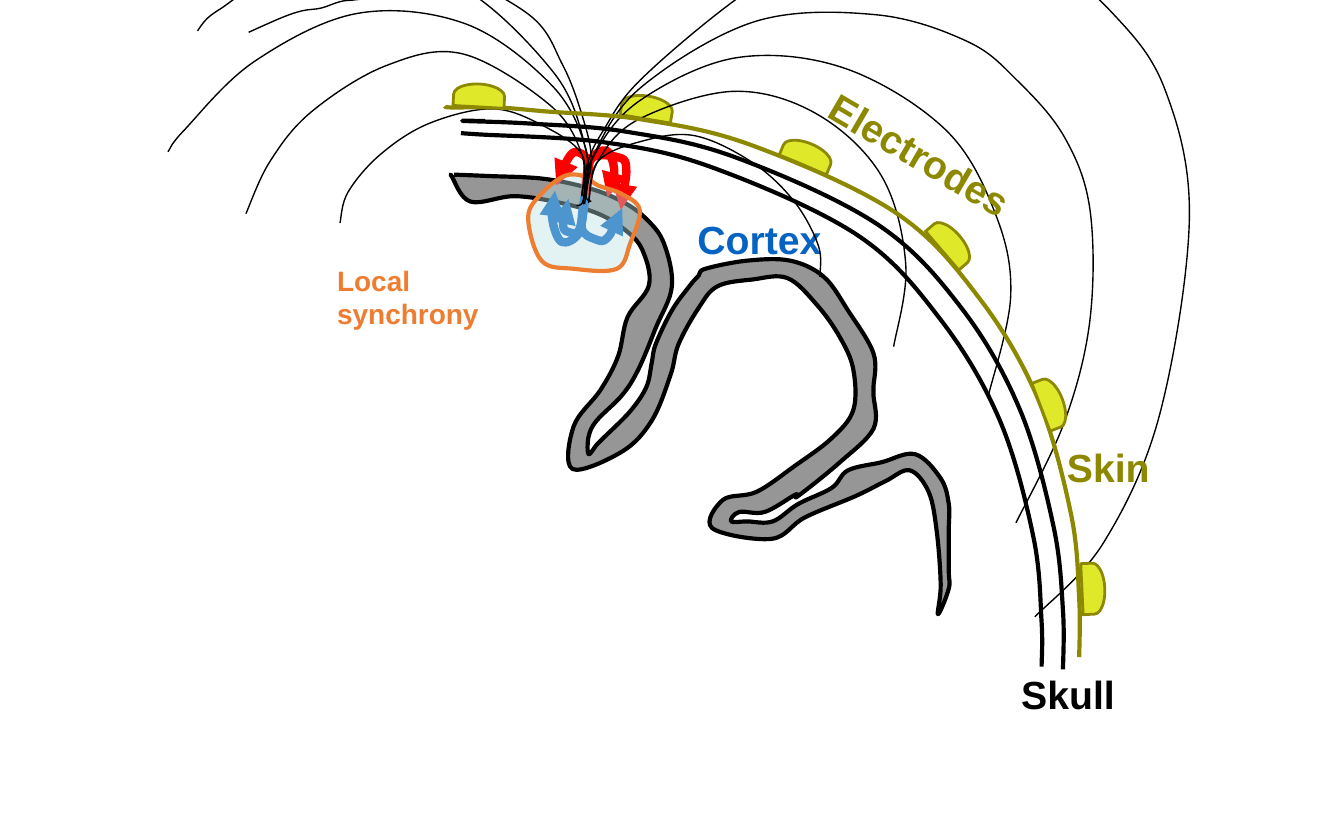
from lxml.etree import SubElement
from pptx import Presentation
from pptx.dml.color import RGBColor
from pptx.enum.shapes import MSO_SHAPE
from pptx.enum.text import MSO_AUTO_SIZE
from pptx.oxml.ns import qn
from pptx.util import Inches, Pt

OLIVE = "8C8900"
BLACK = "000000"
RED = "FF0000"
BLUE = "0563C1"
ORANGE = "ED7D31"

INNER_SKULL = [(3.43, 0.99), (3.56, 1), (4.5, 1.06), (5.31, 1.25), (6.38, 1.75), (7, 2.38),
               (7.44, 3.13), (7.69, 4), (7.75, 4.63), (7.75, 4.96)]
OUTER_SKULL = [(3.61, 0.9), (3.45, 0.9), (3.95, 0.92), (4.66, 0.98), (5.47, 1.17), (6.53, 1.67),
               (7.16, 2.3), (7.59, 3.05), (7.84, 3.92), (7.91, 4.55), (7.91, 4.98)]
SKIN = [(3.31, 0.79), (3.36, 0.8), (3.7, 0.8), (4.07, 0.83), (4.78, 0.89), (5.59, 1.08),
        (6.66, 1.58), (7.28, 2.21), (7.72, 2.96), (7.97, 3.83), (8.03, 4.46), (8.03, 4.89)]
CORTEX = [
    (3.38, 1.3), (3.63, 1.31), (4.04, 1.33), (4.38, 1.4), (4.63, 1.5), (4.81, 1.63), (4.94, 1.81),
    (5, 2.13), (4.88, 2.44), (4.75, 2.75), (4.63, 2.94), (4.44, 3.13), (4.38, 3.25), (4.38, 3.38),
    (4.44, 3.31), (4.5, 3.25), (4.69, 3.06), (4.81, 2.88), (4.85, 2.7), (4.88, 2.56), (5, 2.31),
    (5.13, 2.13), (5.2, 2.05), (5.25, 2), (5.56, 1.94), (5.88, 1.94), (6.13, 2.06), (6.31, 2.31),
    (6.5, 2.63), (6.5, 2.88), (6.5, 2.94), (6.5, 3.19), (6.25, 3.44), (5.94, 3.69), (5.92, 3.68),
    (5.69, 3.81), (5.5, 3.81), (5.44, 3.88), (5.56, 3.88), (5.75, 3.88), (5.94, 3.75),
    (6.19, 3.63), (6.31, 3.5), (6.56, 3.44), (6.81, 3.38), (7, 3.56), (7.06, 3.75), (7.06, 3.94),
    (7.06, 4.25), (7.06, 4.38), (6.98, 4.57), (7, 4.35), (6.97, 3.95), (6.91, 3.66), (6.77, 3.5),
    (6.59, 3.58), (6.37, 3.69), (5.99, 3.85), (5.74, 4.01), (5.3, 3.93), (5.38, 3.72),
    (5.63, 3.66), (5.91, 3.47), (6.19, 3.26), (6.35, 3.05), (6.35, 2.75), (6.25, 2.51),
    (6.08, 2.27), (5.86, 2.07), (5.6, 2.08), (5.34, 2.13), (5.2, 2.29), (5.05, 2.56),
    (4.99, 2.79), (4.85, 3.13), (4.63, 3.36), (4.26, 3.49), (4.27, 3.17), (4.47, 2.9),
    (4.6, 2.65), (4.67, 2.36), (4.83, 2.12), (4.78, 1.86), (4.65, 1.71), (4.45, 1.59),
    (4.17, 1.51), (3.83, 1.46), (3.5, 1.5), (3.36, 1.31), (3.37, 1.32)]
SYNCHRONY_AREA = [(4.2, 1.31), (4.03, 1.44), (3.93, 1.62), (4.03, 1.94), (4.27, 2), (4.59, 2),
                  (4.69, 1.81), (4.76, 1.56), (4.62, 1.44), (4.45, 1.38), (4.34, 1.31)]
CURRENTS = [
    (RED, [(4.36, 1.43), (4.4, 1.18), (4.6, 1.17), (4.66, 1.25), (4.62, 1.56)]),
    (RED, [(4.35, 1.45), (4.39, 1.2), (4.51, 1.12), (4.57, 1.27), (4.52, 1.47)]),
    (RED, [(4.36, 1.45), (4.38, 1.21), (4.28, 1.13), (4.2, 1.23), (4.14, 1.38)]),
    (BLUE, [(4.35, 1.48), (4.31, 1.73), (4.18, 1.8), (4.11, 1.63), (4.13, 1.42)]),
    (BLUE, [(4.36, 1.46), (4.31, 1.71), (4.24, 1.73), (4.19, 1.68), (4.23, 1.48)]),
    (BLUE, [(4.35, 1.46), (4.33, 1.7), (4.43, 1.78), (4.52, 1.77), (4.63, 1.55)])]
FIELD_LINES = [
    [(4.38, 1.51), (4.45, 1.2), (4.78, 1.05), (5.17, 1.01), (5.6, 1.21), (5.91, 1.5),
     (6.09, 1.83), (6.1, 2.06)],
    [(4.38, 1.5), (4.45, 1.2), (4.75, 0.89), (5.46, 0.68), (6.08, 0.85), (6.56, 1.31),
     (6.74, 1.97), (6.65, 2.58)],
    [(4.35, 1.52), (4.42, 1.16), (4.76, 0.75), (5.48, 0.43), (6.29, 0.51), (7.04, 0.97),
     (7.41, 1.6), (7.52, 2.21), (7.35, 2.96)],
    [(4.34, 1.52), (4.41, 1.17), (4.77, 0.65), (5.62, 0.16), (6.52, 0.11), (7.2, 0.31),
     (7.57, 0.6), (7.92, 1.02), (8.11, 1.56), (8.11, 2.38), (7.92, 3.14), (7.56, 3.89)],
    [(4.33, 1.46), (4.33, 1.15), (4.03, 0.93), (3.66, 0.81), (3.19, 0.92), (2.83, 1.15),
     (2.59, 1.43), (2.53, 1.66)],
    [(4.33, 1.46), (4.33, 1.15), (4.09, 0.78), (3.44, 0.4), (2.87, 0.49), (2.32, 0.83),
     (2.01, 1.2), (1.83, 1.59)],
    [(4.35, 1.47), (4.36, 1.11), (4.11, 0.64), (3.47, 0.18), (2.66, 0.1), (1.89, 0.46),
     (1.37, 0.97), (1.25, 1.13)],
    [(4.36, 1.48), (4.36, 1.12), (4.12, 0.54), (3.39, -0.11), (2.71, -0.01), (2.54, 0.01),
     (2.39, 0.06), (2.25, 0.08), (2.1, 0.13), (1.85, 0.24)],
    [(4.4, 1.5), (4.36, 1.45), (4.4, 1.19), (4.35, 0.92), (4.19, 0.49), (3.91, 0.09),
     (3.11, -0.27), (2.32, -0.2), (1.88, -0.08), (1.65, 0.06), (1.54, 0.14), (1.47, 0.23)],
    [(4.29, 1.53), (4.34, 1.49), (4.37, 1.22), (4.49, 0.97), (4.76, 0.6), (5.47, 0),
     (6.18, -0.45), (7.07, -0.56), (7.67, -0.4), (8.28, 0.1), (8.67, 0.67), (8.85, 1.62),
     (8.63, 3.08), (8.21, 4.04), (7.7, 4.59)]]
ELECTRODES = [(4.73, 0.61, 279.6), (5.92, 0.96, 292.6), (6.99, 1.62, 319.3),
              (7.74, 2.81, 339.1), (8.05, 4.19, 357.3), (3.48, 0.52, 273.2)]


def rgb(value):
    return RGBColor.from_string(value)


def style(sp, line, width, fill=None):
    sp.shadow.inherit = False
    sp.line.color.rgb = rgb(line)
    sp.line.width = Pt(width)
    if fill:
        sp.fill.solid()
        sp.fill.fore_color.rgb = rgb(fill)
    else:
        sp.fill.background()


def add_curve(slide, points, line, width, fill=None, closed=False):
    pts = [(Inches(x), Inches(y)) for x, y in points]
    if closed:
        pts.append(pts[0])
    builder = slide.shapes.build_freeform(*pts[0], scale=1.0)
    builder.add_line_segments(pts[1:], close=closed)
    sp = builder.convert_to_shape()
    before, after = (pts[-2], pts[1]) if closed else (pts[0], pts[-1])
    padded = [before] + pts + [after]
    segments = list(sp._element.iter(qn("a:lnTo")))
    for segment, a, b, c, d in zip(segments, padded, padded[1:], padded[2:], padded[3:]):
        controls = [[q + (r - p) / 6 for p, q, r in zip(a, b, c)],
                    [q - (r - p) / 6 for p, q, r in zip(b, c, d)], c]
        segment.tag = qn("a:cubicBezTo")
        segment.remove(segment[0])
        for x, y in controls:
            SubElement(segment, qn("a:pt"), x=str(round(x - sp.left)), y=str(round(y - sp.top)))
    style(sp, line, width, fill)
    return sp


def add_arrow(slide, points, color):
    sp = add_curve(slide, points, color, 4.5)
    SubElement(sp.line._get_or_add_ln(), qn("a:tailEnd"), type="triangle")


def add_electrode(slide, left, top, rotation):
    sp = slide.shapes.add_shape(MSO_SHAPE.FLOWCHART_DELAY, Inches(left), Inches(top),
                                Inches(0.17), Inches(0.38))
    sp.rotation = rotation
    style(sp, OLIVE, 1.5, "E0E929")


def add_label(slide, text, box, color, size=21, wrap=False, rotation=0):
    sp = slide.shapes.add_textbox(*map(Inches, box))
    sp.rotation = rotation
    tf = sp.text_frame
    tf.word_wrap = wrap
    tf.auto_size = MSO_AUTO_SIZE.SHAPE_TO_FIT_TEXT
    r = tf.paragraphs[0].add_run()
    r.text = text
    r.font.name = "Arial"
    r.font.size = Pt(size)
    r.font.bold = True
    r.font.color.rgb = rgb(color)


def main():
    prs = Presentation()
    prs.slide_width, prs.slide_height = Inches(10), Inches(6.25)
    slide = prs.slides.add_slide(prs.slide_layouts[6])

    for electrode in ELECTRODES[:2]:
        add_electrode(slide, *electrode)
    add_label(slide, "Cortex", (5.09, 1.55, 1.13, 0.45), BLUE)
    add_curve(slide, INNER_SKULL, BLACK, 2.25)
    add_curve(slide, OUTER_SKULL, BLACK, 2.25)
    add_curve(slide, CORTEX, BLACK, 2.25, "969696")
    for color, points in CURRENTS:
        add_arrow(slide, points, color)
    area = add_curve(slide, SYNCHRONY_AREA, ORANGE, 2.25, "BBE0E3", closed=True)
    fill_color = area._element.spPr.find(qn("a:solidFill"))[0]
    SubElement(fill_color, qn("a:alpha"), val="40000")
    add_label(slide, "Skull", (7.5, 4.94, 0.91, 0.45), BLACK)
    add_label(slide, "Local synchrony", (2.41, 1.91, 1.44, 0.61), ORANGE, 15, True)
    for points in FIELD_LINES:
        add_curve(slide, points, BLACK, 0.75)
    add_curve(slide, SKIN, OLIVE, 2.25)
    add_label(slide, "Skin", (7.84, 3.25, 0.82, 0.45), OLIVE)
    for electrode in ELECTRODES[2:]:
        add_electrode(slide, *electrode)
    add_label(slide, "Electrodes", (5.99, 0.96, 1.84, 0.45), OLIVE, wrap=True, rotation=30.3)
    prs.save("out.pptx")


if __name__ == "__main__":
    main()
